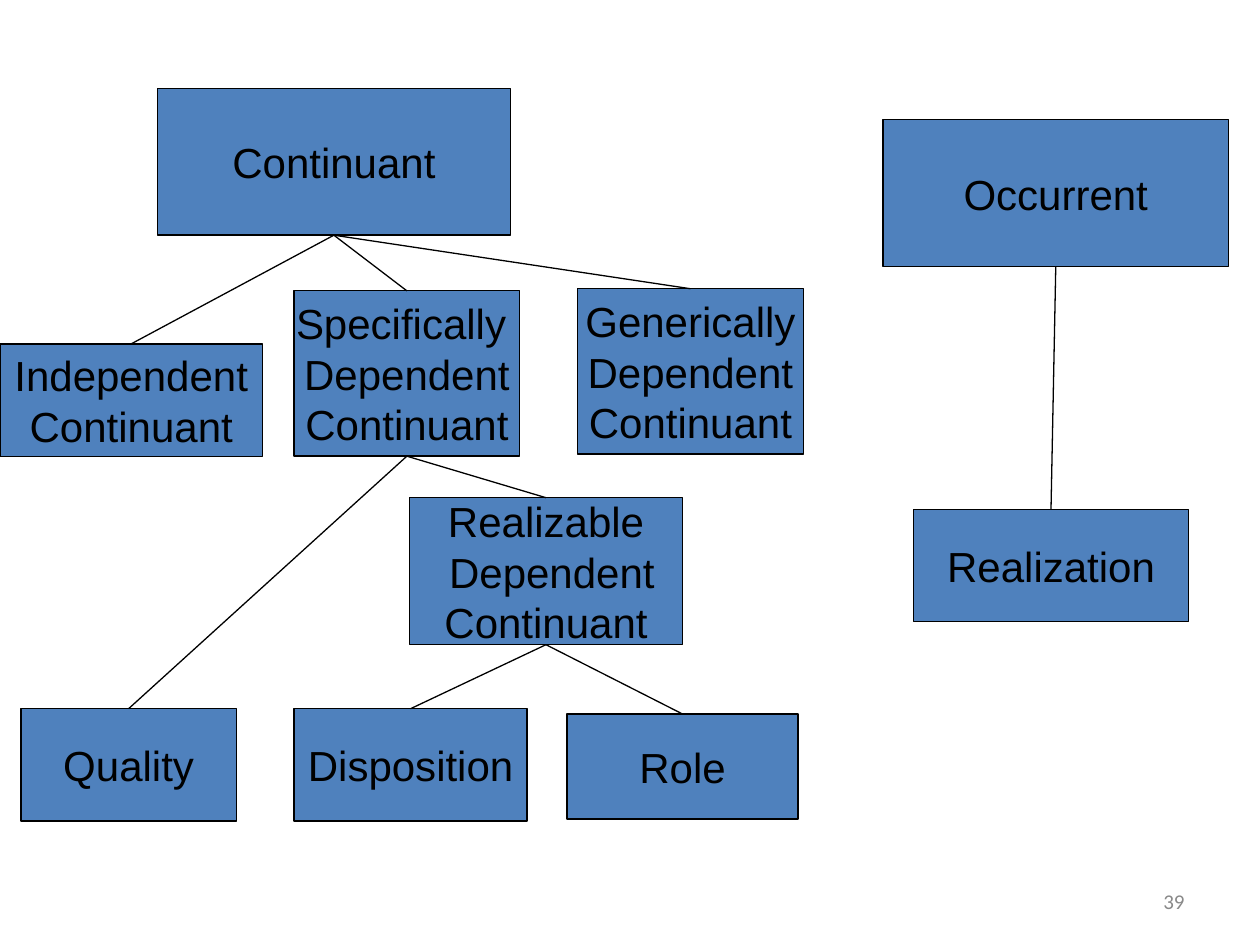
from dataclasses import dataclass

from lxml.etree import SubElement
from pptx import Presentation
from pptx.dml.color import RGBColor
from pptx.enum.shapes import MSO_CONNECTOR as Connector, MSO_SHAPE as Shape
from pptx.enum.text import MSO_ANCHOR as Anchor, PP_ALIGN as Align
from pptx.oxml.ns import qn
from pptx.util import Inches, Pt

BOTTOM, TOP = 2, 0  # connection sites of a rectangle


@dataclass(frozen=True)
class Theme:
    box_fill: RGBColor = RGBColor.from_string("4F81BD")
    ink: RGBColor = RGBColor.from_string("000000")
    muted: RGBColor = RGBColor.from_string("898989")
    label_font: str = "Arial"
    number_font: str = "Calibri"
    label_size: Pt = Pt(24)
    number_size: Pt = Pt(12)
    line_width: Pt = Pt(0.75)


class OntologySlide:
    """Places elements on a grid of 120 columns by 90 rows."""

    columns, rows = 120, 90

    def __init__(self, deck, theme):
        self.theme = theme
        self.shapes = deck.slides.add_slide(deck.slide_layouts[6]).shapes
        self.column = deck.slide_width / self.columns
        self.row = deck.slide_height / self.rows

    def place(self, left, top, width, height):
        return (round(left * self.column), round(top * self.row),
                round(width * self.column), round(height * self.row))

    def add_lines(self, frame, lines, align, font_name, size, color):
        frame.vertical_anchor = Anchor.MIDDLE
        for index, line in enumerate(lines):
            paragraph = frame.add_paragraph() if index else frame.paragraphs[0]
            paragraph.alignment = align
            run = paragraph.add_run()
            run.text = line
            run.font.name, run.font.size = font_name, size
            run.font.color.rgb = color

    def outline(self, line):
        line.color.rgb = self.theme.ink
        line.width = self.theme.line_width

    def box(self, lines, area):
        theme = self.theme
        box = self.shapes.add_shape(Shape.RECTANGLE, *self.place(*area))
        box.shadow.inherit = False
        box.fill.solid()
        box.fill.fore_color.rgb = theme.box_fill
        self.outline(box.line)
        box.text_frame.word_wrap = False
        self.add_lines(box.text_frame, lines, Align.CENTER,
                       theme.label_font, theme.label_size, theme.ink)
        return box

    def branch(self, parent, child):
        """Join the bottom of the parent to the top of the child."""
        link = self.shapes.add_connector(Connector.STRAIGHT, 0, 0, 0, 0)
        link.begin_connect(parent, BOTTOM)
        link.end_connect(child, TOP)
        self.outline(link.line)
        SubElement(link.element.spPr, qn("a:effectLst"))

    def page_number(self, number, area):
        theme = self.theme
        frame = self.shapes.add_textbox(*self.place(*area)).text_frame
        frame.word_wrap = True
        self.add_lines(frame, [number], Align.RIGHT,
                       theme.number_font, theme.number_size, theme.muted)


# name: (lines, (left, top, width, height))
CLASSES = {
    "continuant": (["Continuant"], (15, 8.4, 33.6, 14)),
    "occurrent": (["Occurrent"], (84.1, 11.4, 32.9, 14)),
    "independent": (["Independent", "Continuant"], (0, 32.75, 25, 10.7)),
    "specific": (["Specifically ", "Dependent", "Continuant"],
                 (28, 27.7, 21.5, 15.75)),
    "generic": (["Generically", "Dependent", "Continuant"],
                (55, 27.5, 21.5, 15.75)),
    "realizable": (["Realizable", " Dependent", "Continuant"],
                   (39, 47.4, 26, 14)),
    "quality": (["Quality"], (2, 67.5, 20.5, 10.7)),
    "disposition": (["Disposition"], (28, 67.5, 22.2, 10.7)),
    "role": (["Role"], (54, 68, 22, 10)),
    "realization": (["Realization"], (87, 48.5, 26.2, 10.7)),
}

SUBCLASSES = {
    "continuant": ["independent", "specific", "generic"],
    "specific": ["quality", "realizable"],
    "realizable": ["disposition", "role"],
    "occurrent": ["realization"],
}


def main():
    deck = Presentation()
    deck.slide_width, deck.slide_height = Inches(10), Inches(7.5)
    slide = OntologySlide(deck, Theme())
    boxes = {name: slide.box(*details) for name, details in CLASSES.items()}
    for parent, children in SUBCLASSES.items():
        for child in children:
            slide.branch(boxes[parent], boxes[child])
    slide.page_number("39", (86, 83.4, 28, 4.8))
    deck.save("out.pptx")


if __name__ == "__main__":
    main()
